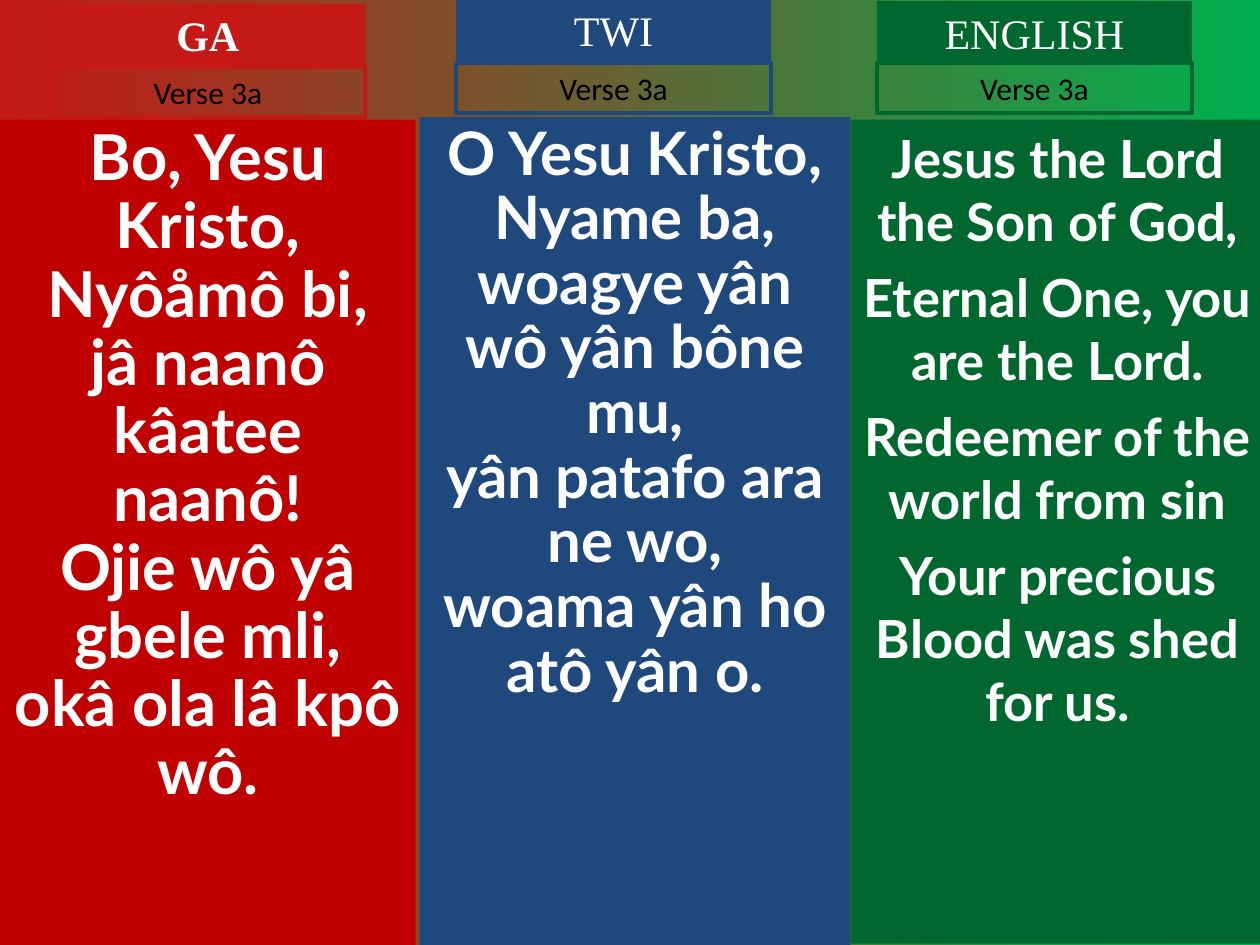
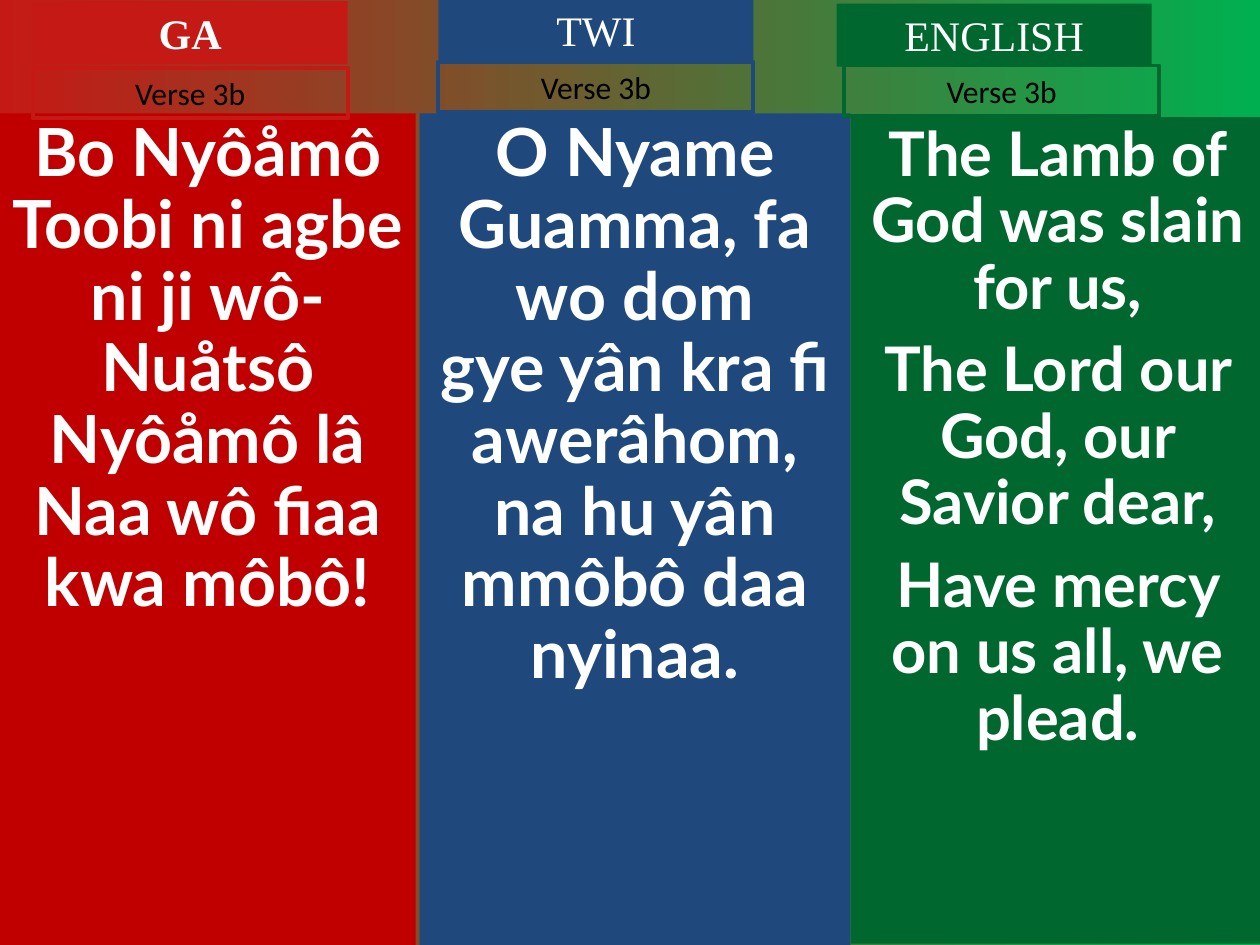
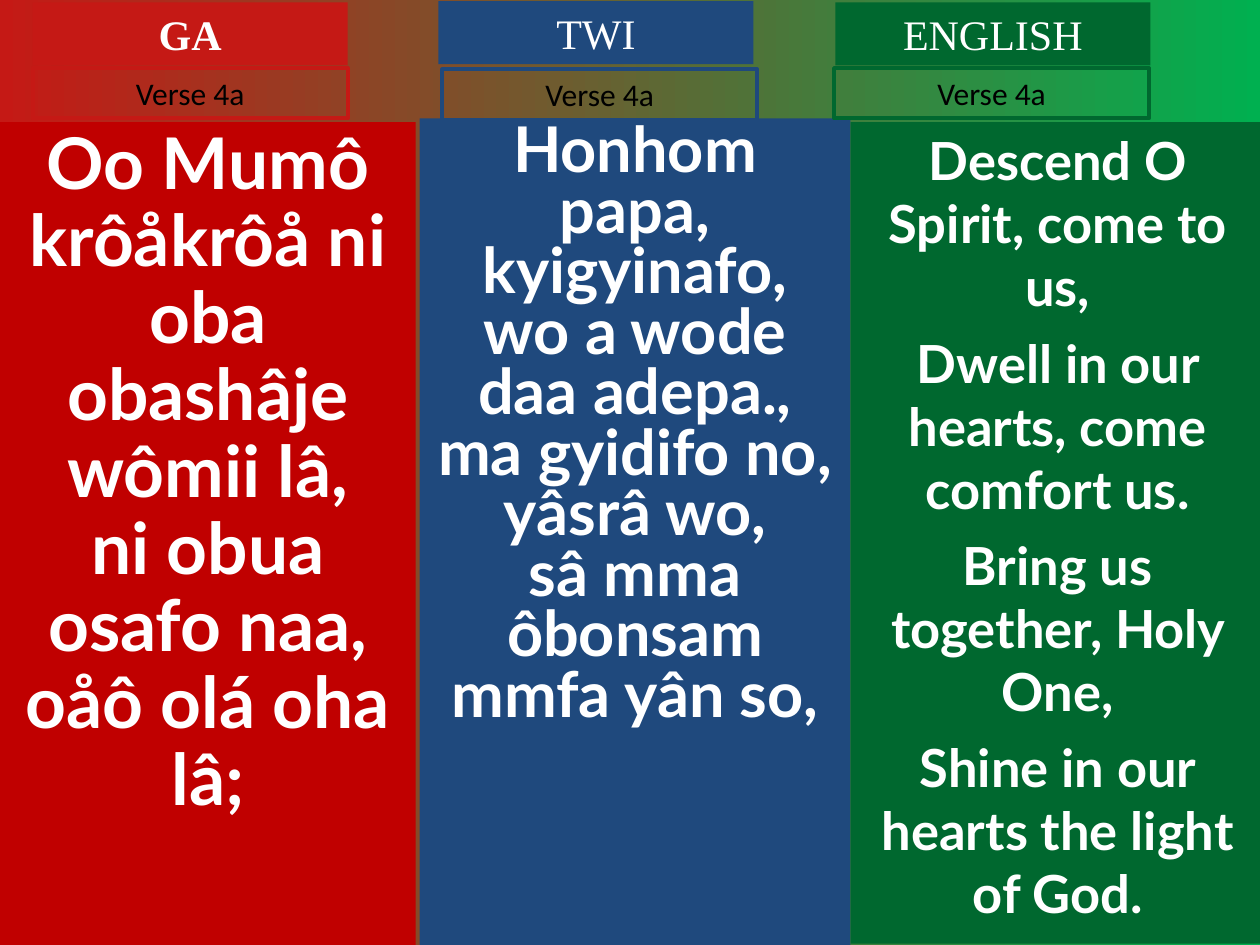
from pptx import Presentation
from pptx.dml.color import RGBColor
from pptx.enum.shapes import MSO_SHAPE as Shape
from pptx.enum.text import MSO_ANCHOR as Anchor, MSO_AUTO_SIZE as AutoSize, PP_ALIGN as Align
from pptx.util import Inches, Pt

COLORS = {"ga": "C00000", "ga_tag": "C51915", "twi": "1F497D", "english": "00682F",
          "sweep_start": "C51915", "sweep_end": "00B050",
          "verse": "000000", "light": "FFFFFF"}

SLIDE_WIDTH, SLIDE_HEIGHT = 10, 7.5
TAG_WIDTH, LABEL_HEIGHT, VERSE_HEIGHT = 2.5, 0.5, 0.4

# One column per language: label, panel colour, tag colour, panel left, width and bottom
COLUMNS = [
    dict(label="GA", panel="ga", tag="ga_tag", left=0, width=3.3, bottom=SLIDE_HEIGHT, bold=True),
    dict(label="TWI", panel="twi", tag="twi", left=3.33, width=3.42, bottom=SLIDE_HEIGHT, bold=False),
    dict(label="ENGLISH", panel="english", tag="english", left=6.75, width=3.29, bottom=7.49, bold=False),
]

# For each language: panel top, label and verse corners, font size,
# line spacing, gap between paragraphs, lyrics
VERSES = [
    ("Verse 3a", [
        dict(top=0.95, label=(0.4, 0.03), verse=(0.4, 0.53), size=36.1, spacing=0.9, gap=0,
             lyrics=["Bo, Yesu Kristo, Nyôåmô bi,",
                     "jâ naanô kâatee naanô!",
                     "Ojie wô yâ gbele mli,",
                     "okâ ola lâ kpô wô."]),
        dict(top=0.93, label=(3.62, -0.01), verse=(3.62, 0.5), size=34.2, spacing=0.9, gap=0,
             lyrics=["O Yesu Kristo, Nyame ba,",
                     "woagye yân wô yân bône mu,",
                     "yân patafo ara ne wo,",
                     "woama yân ho atô yân o."]),
        dict(top=0.95, label=(6.96, 0.01), verse=(6.96, 0.5), size=30, spacing=1.0, gap=7.5,
             lyrics=["Jesus the Lord the Son of God,",
                     "Eternal One, you are the Lord.",
                     "Redeemer of the world from sin",
                     "Your precious Blood was shed for us."]),
    ]),
    ("Verse 3b", [
        dict(top=0.9, label=(0.26, 0.01), verse=(0.26, 0.54), size=37.9, spacing=0.9, gap=0,
             lyrics=["Bo Nyôåmô Toobi ni agbe",
                     "ni ji wô-Nuåtsô Nyôåmô lâ",
                     "Naa wô fiaa kwa môbô!"]),
        dict(top=0.9, label=(3.48, -0.01), verse=(3.48, 0.49), size=37.9, spacing=0.9, gap=0,
             lyrics=["O Nyame Guamma, fa wo dom",
                     "gye yân kra fi awerâhom,",
                     "na hu yân mmôbô daa nyinaa."]),
        dict(top=0.93, label=(6.64, 0.03), verse=(6.7, 0.52), size=35.1, spacing=0.9, gap=9.5,
             lyrics=["The Lamb of God was slain for us,",
                     "The Lord our God, our Savior dear,",
                     "Have mercy on us all, we plead."]),
    ]),
    ("Verse 4a", [
        dict(top=0.97, label=(0.26, 0.02), verse=(0.26, 0.54), size=40.7, spacing=0.9, gap=0,
             lyrics=["Oo Mumô krôåkrôå ni oba obashâje wômii lâ,",
                     "ni obua osafo naa,",
                     "oåô olá oha lâ;"]),
        dict(top=0.94, label=(3.48, 0.01), verse=(3.51, 0.55), size=36, spacing=0.8, gap=0,
             lyrics=["Honhom papa, kyigyinafo,",
                     "wo a wode daa adepa.,",
                     "ma gyidifo no,",
                     "yâsrâ wo,",
                     "sâ mma ôbonsam mmfa yân so,"]),
        dict(top=0.97, label=(6.63, 0.02), verse=(6.62, 0.54), size=30, spacing=1.0, gap=7.5,
             lyrics=["Descend O Spirit, come to us,",
                     "Dwell in our hearts, come comfort us.",
                     "Bring us together, Holy One,",
                     "Shine in our hearts the light of God."]),
    ]),
]


def color(name):
    return RGBColor.from_string(COLORS[name])


def paint_background(master):
    fill = master.background.fill
    fill.gradient()
    fill.gradient_angle = 0
    for stop, name in zip(fill.gradient_stops, ("sweep_start", "sweep_end")):
        stop.color.rgb = color(name)


def add_box(slide, left, top, width, height, fill=None, line=None):
    box = slide.shapes.add_shape(Shape.RECTANGLE, *map(Inches, (left, top, width, height)))
    box.shadow.inherit = False
    if fill:
        box.fill.solid()
        box.fill.fore_color.rgb = color(fill)
    else:
        box.fill.background()
    if line:
        box.line.color.rgb = color(line)
        box.line.width = Pt(2.25)
    else:
        box.line.fill.background()
    return box


def write(box, lines, font, size, ink="light", bold=False, spacing=1.0, gap=0, grow=False):
    frame = box.text_frame
    frame.word_wrap = True
    frame.vertical_anchor = Anchor.TOP
    frame.auto_size = AutoSize.SHAPE_TO_FIT_TEXT if grow else AutoSize.NONE
    for index, line in enumerate(lines):
        para = frame.add_paragraph() if index else frame.paragraphs[0]
        para.text = line
        para.alignment = Align.CENTER
        para.line_spacing = spacing
        para.space_before = Pt(gap if index else 0)
        para.font.name = font
        para.font.size = Pt(size)
        para.font.bold = bold
        para.font.color.rgb = color(ink)


def add_panel(slide, column, part):
    panel = add_box(slide, column["left"], part["top"], column["width"],
                    column["bottom"] - part["top"], fill=column["panel"])
    write(panel, part["lyrics"], "Lato", part["size"], bold=True,
          spacing=part["spacing"], gap=part["gap"])


def add_tags(slide, column, part, verse):
    label = add_box(slide, *part["label"], TAG_WIDTH, LABEL_HEIGHT, fill=column["tag"])
    write(label, [column["label"]], "Times New Roman", 24, bold=column["bold"], grow=True)
    frame = add_box(slide, *part["verse"], TAG_WIDTH, VERSE_HEIGHT, line=column["tag"])
    write(frame, [verse], "Calibri", 18, ink="verse", grow=True)


def main():
    deck = Presentation()
    deck.slide_width, deck.slide_height = Inches(SLIDE_WIDTH), Inches(SLIDE_HEIGHT)
    paint_background(deck.slide_master)
    for verse, parts in VERSES:
        slide = deck.slides.add_slide(deck.slide_layouts[6])
        for column, part in zip(COLUMNS, parts):
            add_panel(slide, column, part)
        for column, part in zip(COLUMNS, parts):
            add_tags(slide, column, part, verse)
    deck.save("out.pptx")


if __name__ == "__main__":
    main()
